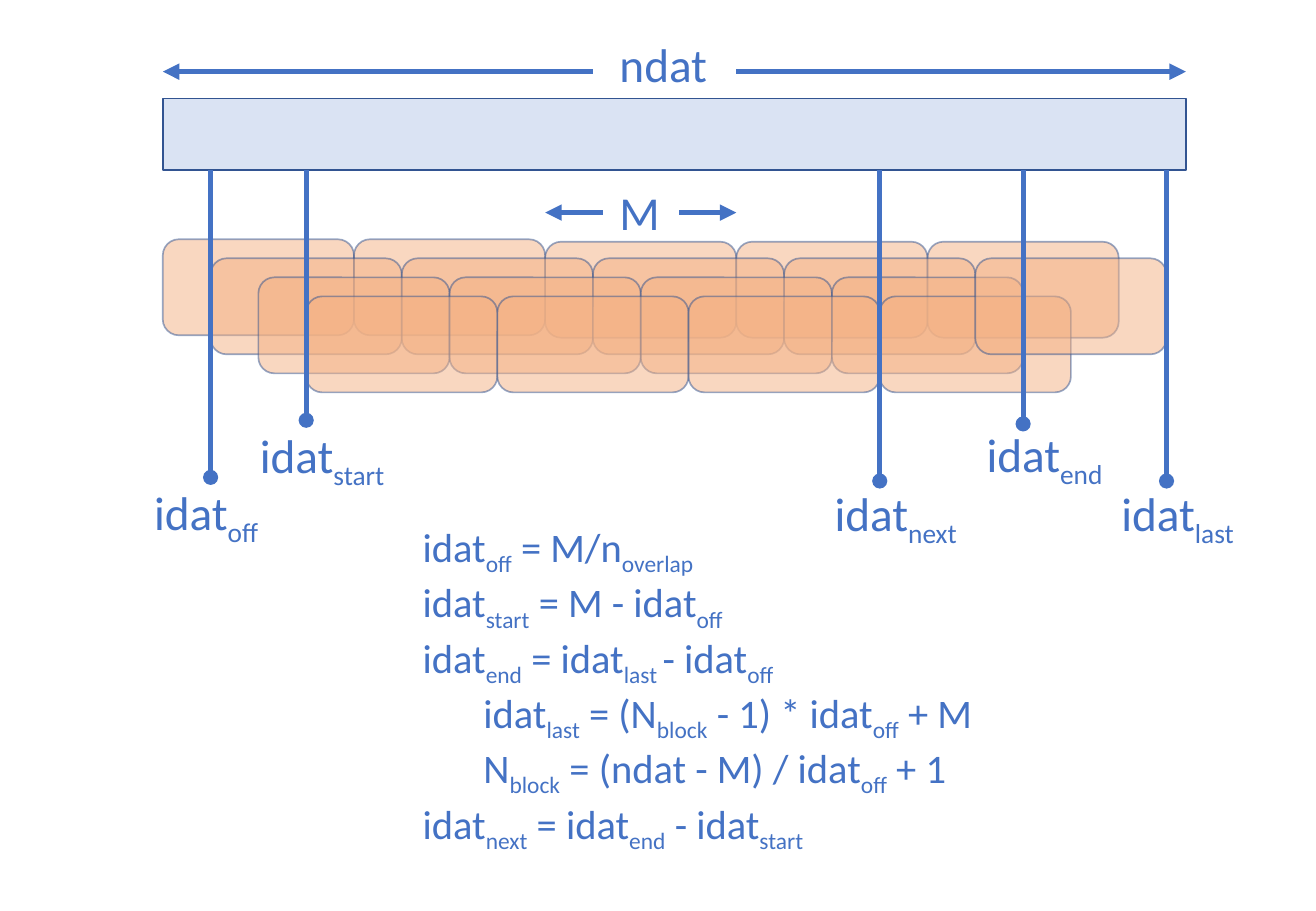
import pptx
import pptx.util
import pptx.dml.color
import pptx.enum.shapes
import pptx.oxml
import pptx.oxml.ns
from pptx.oxml.xmlchemy import OxmlElement

COLORS = {"ink": "4472C4", "edge": "325491", "block": "F4B183", "bar": "DAE3F3"}
FONT = "Calibri"
LEFT = 1.34
HOP = 8.26 / 21
HOPS_PER_BLOCK = 4
BAR_TOP, BAR_WIDTH, BAR_HEIGHT = 0.81, 8.42, 0.59
BAR_RIGHT = (BAR_WIDTH / HOP)
BLOCK_TOP, BLOCK_HEIGHT, ROW_STEP = 1.97, 0.79, 0.47 / 3
LABEL_HEIGHT = 0.57

SPANS = [
    ("ndat", 0.59, (9, 0), (12, BAR_RIGHT), 5.0, 0.24, 0.93),
    ("M", 1.75, (9.2, 8), (10.8, 12), 5.0, 1.46, 0.54),
]
MARKERS = [
    ("idat_off_", 1, 3.93, 1.17, 3.93, 1.49),
    ("idat_start_", 3, 3.46, 2.04, 3.46, 1.3),
    ("idat_next_", 15, 3.96, 6.77, 3.94, 1.49),
    ("idat_end_", 18, 3.49, 8.02, 3.45, 1.28),
    ("idat_last_", 21, 3.96, 9.13, 3.94, 1.49),
]
FORMULAS = [
    (0, "idat_off_ = M/n_overlap_"),
    (0, "idat_start_ = M - idat_off_"),
    (0, "idat_end_ = idat_last _- idat_off_"),
    (1, "idat_last_ = (N_block_ - 1) * idat_off_ + M"),
    (1, "N_block_ = (ndat - M) / idat_off_ + 1"),
    (0, "idat_next_ = idat_end_ - idat_start_"),
]


def inches(*lengths):
    """Convert lengths in inches to EMU."""
    return [pptx.util.Inches(length) for length in lengths]


def color(name):
    """Return the named palette colour."""
    return pptx.dml.color.RGBColor.from_string(COLORS[name])


def hop_x(hop):
    """Return the horizontal place of a hop along the data."""
    return LEFT + hop * HOP


def add_box(slide, kind, place, fill, alpha=None):
    """Add an outlined shape, optionally with a see-through fill and line."""
    box = slide.shapes.add_shape(kind, *inches(*place))
    box.shadow.inherit = False
    box.fill.solid()
    box.fill.fore_color.rgb = color(fill)
    box.line.color.rgb = color("edge")
    box.line.width = pptx.util.Pt(1)
    if alpha:
        for tint in box._element.spPr.iter(pptx.oxml.ns.qn("a:srgbClr")):
            opacity = OxmlElement("a:alpha")
            opacity.set("val", str(alpha * 1000))
            tint.append(opacity)


def add_block(slide, row, column):
    """Add one overlapping block of M samples."""
    nudge = 0.02 if row == 0 and column >= 2 else 0
    place = (hop_x(row + column * HOPS_PER_BLOCK),
             BLOCK_TOP + row * ROW_STEP + nudge,
             HOPS_PER_BLOCK * HOP, BLOCK_HEIGHT)
    add_box(slide, pptx.enum.shapes.MSO_SHAPE.ROUNDED_RECTANGLE, place, "block", 50)


def add_line(slide, start, end, width, tip):
    """Add a straight line with a tip at its end."""
    line = slide.shapes.add_connector(
        pptx.enum.shapes.MSO_CONNECTOR.STRAIGHT, *inches(*start, *end))
    line.line.color.rgb = color("ink")
    line.line.width = pptx.util.Pt(width)
    tail = OxmlElement("a:tailEnd")
    tail.set("type", tip)
    line.line._get_or_add_ln().append(tail)
    line._element.spPr.append(OxmlElement("a:effectLst"))


def write_subscripted(paragraph, text, size):
    """Write text whose parts between underscores are subscripts."""
    for index, part in enumerate(text.split("_")):
        if not part:
            continue
        run = paragraph.add_run()
        run.text = part
        run.font.name = FONT
        run.font.size = pptx.util.Pt(size)
        run.font.color.rgb = color("ink")
        if index % 2:
            run._r.get_or_add_rPr().set("baseline", "-25000")


def add_text(slide, place, lines, size):
    """Add a text box holding (level, text) lines."""
    frame = slide.shapes.add_textbox(*inches(*place)).text_frame
    frame.word_wrap = True
    for index, (level, text) in enumerate(lines):
        paragraph = frame.add_paragraph() if index else frame.paragraphs[0]
        paragraph.level = level
        write_subscripted(paragraph, text, size)


def add_span(slide, name, y, left_arrow, right_arrow, x, top, width):
    """Add a named length with an arrow pointing out on either side."""
    for start, end in (left_arrow, right_arrow):
        add_line(slide, (hop_x(start), y), (hop_x(end), y), 3.25, "triangle")
    add_text(slide, (x, top, width, LABEL_HEIGHT), [(0, name)], 28)


def add_marker(slide, name, hop, bottom, x, top, width):
    """Add a labelled index line hanging from the data bar."""
    add_line(slide, (hop_x(hop), BAR_TOP + BAR_HEIGHT), (hop_x(hop), bottom), 3, "oval")
    add_text(slide, (x, top, width, LABEL_HEIGHT), [(0, name)], 28)


def main():
    """Build the overlapping blocks slide."""
    deck = pptx.Presentation()
    deck.slide_width, deck.slide_height = inches(10.83, 7.5)
    slide = deck.slides.add_slide(deck.slide_layouts[6])
    add_text(slide, (3.38, 4.25, 6.2, 2.52), FORMULAS, 24)
    for row, count in enumerate((5, 4, 4, 4)):
        for column in range(count):
            add_block(slide, row, column)
    add_block(slide, 1, 4)
    add_box(slide, pptx.enum.shapes.MSO_SHAPE.RECTANGLE,
            (LEFT, BAR_TOP, BAR_WIDTH, BAR_HEIGHT), "bar")
    for span in SPANS:
        add_span(slide, *span)
    for marker in MARKERS:
        add_marker(slide, *marker)
    deck.save("out.pptx")


main()
